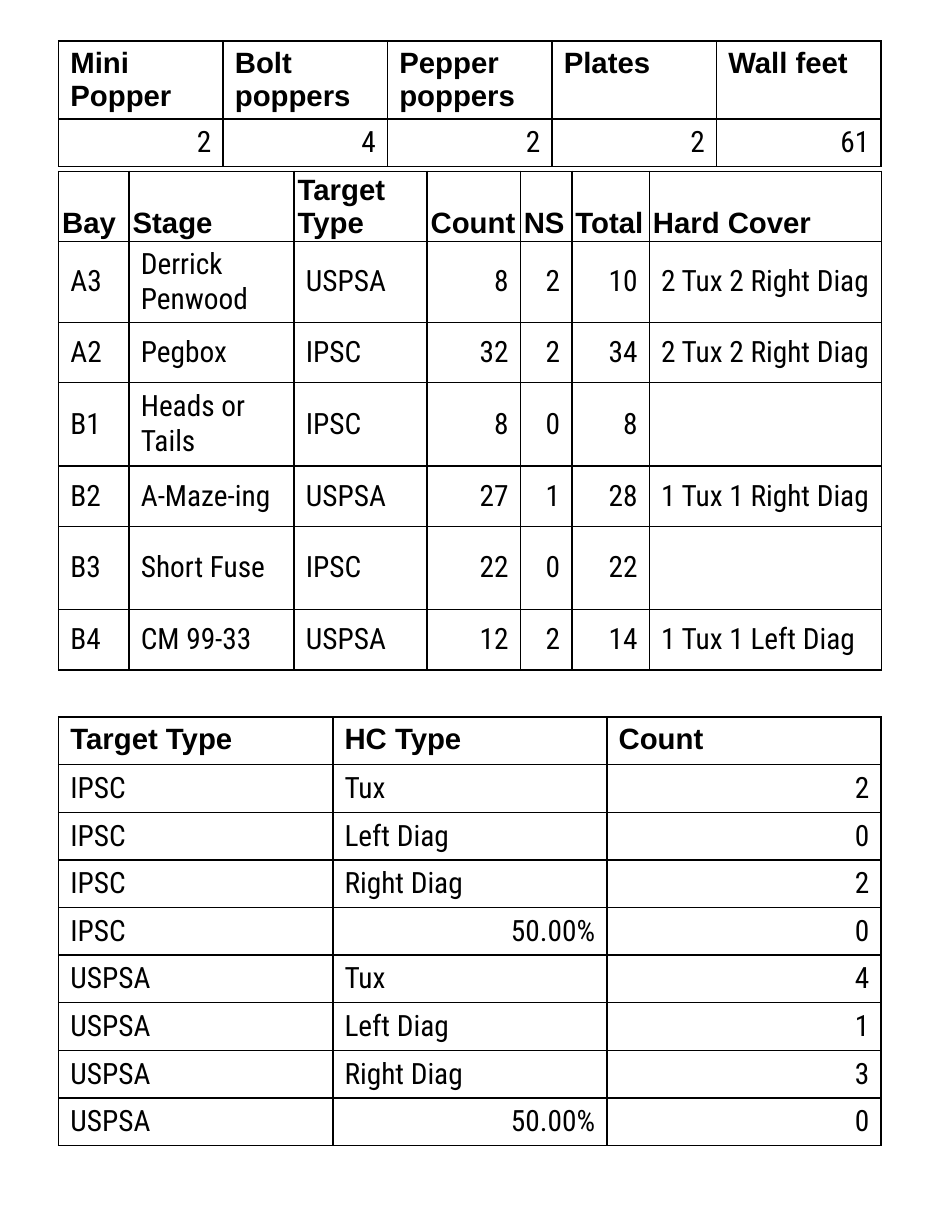
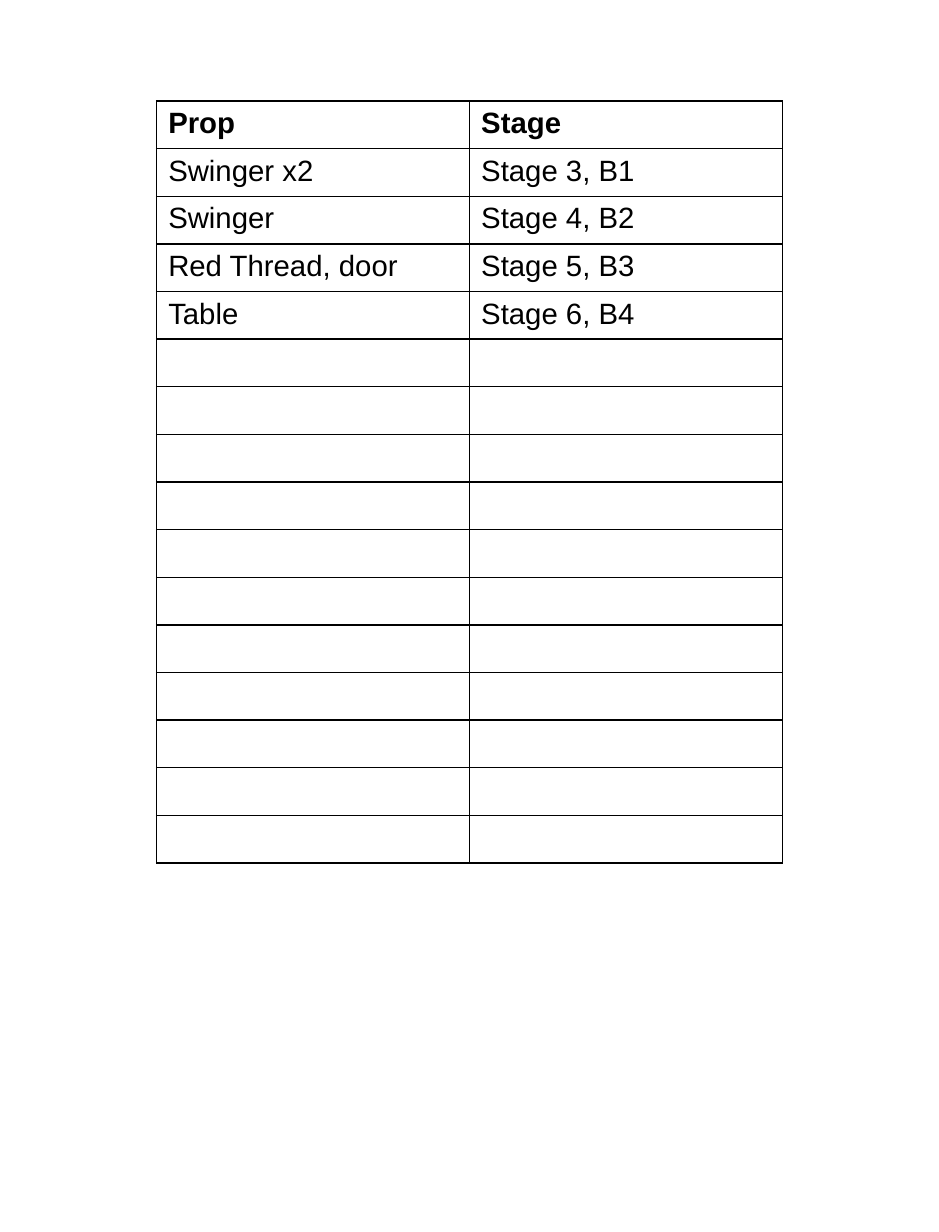
from lxml.etree import SubElement
from pptx import Presentation
from pptx.dml.color import RGBColor
from pptx.enum.text import MSO_ANCHOR as Anchor, PP_ALIGN as Align
from pptx.oxml import parse_xml
from pptx.oxml.ns import nsdecls, qn
from pptx.util import Inches, Pt

WIDTH, HEIGHT = 8, 10.5
COLUMN, ROW = WIDTH / 12, HEIGHT / 30
BLACK, WHITE = "000000", "FFFFFF"
HEADING_FONT, DATA_FONT = "Arial", "Roboto Condensed"
LINE, DEEP_LINE, TALL_LINE, WIDE_LINE = 1.16, 1.47, 1.9, 2.03
LEFT, SPAN = 0.75, 10.51
HEADER_INSETS = {
    "margin_left": Inches(0.03), "margin_right": Inches(0.03),
    "margin_top": Inches(0.02), "margin_bottom": Inches(0.02),
    "vertical_anchor": Anchor.BOTTOM,
}


def color(hex_value):
    return RGBColor.from_string(hex_value)


def add_grid(slide, left, top, widths, heights, rows, data_font, header_format, data_format):
    shape = slide.shapes.add_table(
        len(heights), len(widths), Inches(left * COLUMN), Inches(top * ROW),
        Inches(sum(widths) * COLUMN), Inches(sum(heights) * ROW))
    table = shape.table
    table.first_row = table.horz_banding = False
    for column, width in zip(table.columns, widths):
        column.width = Inches(width * COLUMN)
    for row, height in zip(table.rows, heights):
        row.height = Inches(height * ROW)
    for row_index, row in enumerate(table.rows):
        is_header = row_index == 0
        texts = rows[row_index] if row_index < len(rows) else [""] * len(widths)
        for cell, text in zip(row.cells, texts):
            cell.fill.solid()
            cell.fill.fore_color.rgb = color(WHITE)
            for name, value in (header_format if is_header else data_format).items():
                setattr(cell, name, value)
            properties = cell._tc.get_or_add_tcPr()
            for position, side in enumerate(("lnL", "lnR", "lnT", "lnB")):
                border = parse_xml(f'<a:{side} {nsdecls("a")} w="{Pt(1)}"/>')
                fill = SubElement(border, qn("a:solidFill"))
                SubElement(fill, qn("a:srgbClr"), val=BLACK)
                properties.insert(position, border)
            if not text:
                continue
            paragraph = cell.text_frame.paragraphs[0]
            if text.rstrip("%").replace(".", "").isdigit():
                paragraph.alignment = Align.RIGHT
            run = paragraph.add_run()
            run.text = text
            run.font.color.rgb = color(BLACK)
            font_format = {
                "name": HEADING_FONT if is_header else data_font,
                "size": Pt(18),
                "bold": is_header,
            }
            for name, value in font_format.items():
                setattr(run.font, name, value)


presentation = Presentation()
presentation.slide_width, presentation.slide_height = Inches(WIDTH), Inches(HEIGHT)
blank_layout = presentation.slide_layouts[6]
middle = {"vertical_anchor": Anchor.MIDDLE}

steel = [
    ["Mini Popper", "Bolt poppers", "Pepper poppers", "Plates", "Wall feet"],
    ["2", "4", "2", "2", "61"],
]
stages = [
    ["Bay", "Stage", "Target Type", "Count", "NS", "Total", "Hard Cover"],
    ["A3", "Derrick Penwood", "USPSA", "8", "2", "10", "2 Tux 2 Right Diag"],
    ["A2", "Pegbox", "IPSC", "32", "2", "34", "2 Tux 2 Right Diag"],
    ["B1", "Heads or Tails", "IPSC", "8", "0", "8", ""],
    ["B2", "A-Maze-ing", "USPSA", "27", "1", "28", "1 Tux 1 Right Diag"],
    ["B3", "Short Fuse", "IPSC", "22", "0", "22", ""],
    ["B4", "CM 99-33", "USPSA", "12", "2", "14", "1 Tux 1 Left Diag"],
]
hard_cover_types = ["Tux", "Left Diag", "Right Diag", "50.00%"]
hard_cover_counts = {"IPSC": ["2", "0", "2", "0"], "USPSA": ["4", "1", "3", "0"]}
hard_cover = [["Target Type", "HC Type", "Count"]]
for target, counts in hard_cover_counts.items():
    for cover, count in zip(hard_cover_types, counts):
        hard_cover.append([target, cover, count])
props = [
    ["Prop", "Stage"],
    ["Swinger x2", "Stage 3, B1"],
    ["Swinger", "Stage 4, B2"],
    ["Red Thread, door", "Stage 5, B3"],
    ["Table", "Stage 6, B4"],
]

stage_widths = [0.9, 2.11, 1.7, 1.19, 0.66, 0.99, 2.97]
stage_heights = [WIDE_LINE if row[-1] == "" else DEEP_LINE for row in stages]

targets_slide = presentation.slides.add_slide(blank_layout)
for top, widths, heights, rows, header_format in (
    (1, [SPAN / 5] * 5, [TALL_LINE, LINE], steel, {}),
    (4.17, stage_widths, stage_heights, stages, HEADER_INSETS),
    (17.46, [SPAN / 3] * 3, [LINE] * len(hard_cover), hard_cover, {}),
):
    add_grid(targets_slide, LEFT, top, widths, heights, rows, DATA_FONT, header_format, middle)

props_slide = presentation.slides.add_slide(blank_layout)
add_grid(props_slide, 2, 2.46, [4, 4], [LINE] * 16, props, HEADING_FONT, {}, {})

presentation.save("out.pptx")
